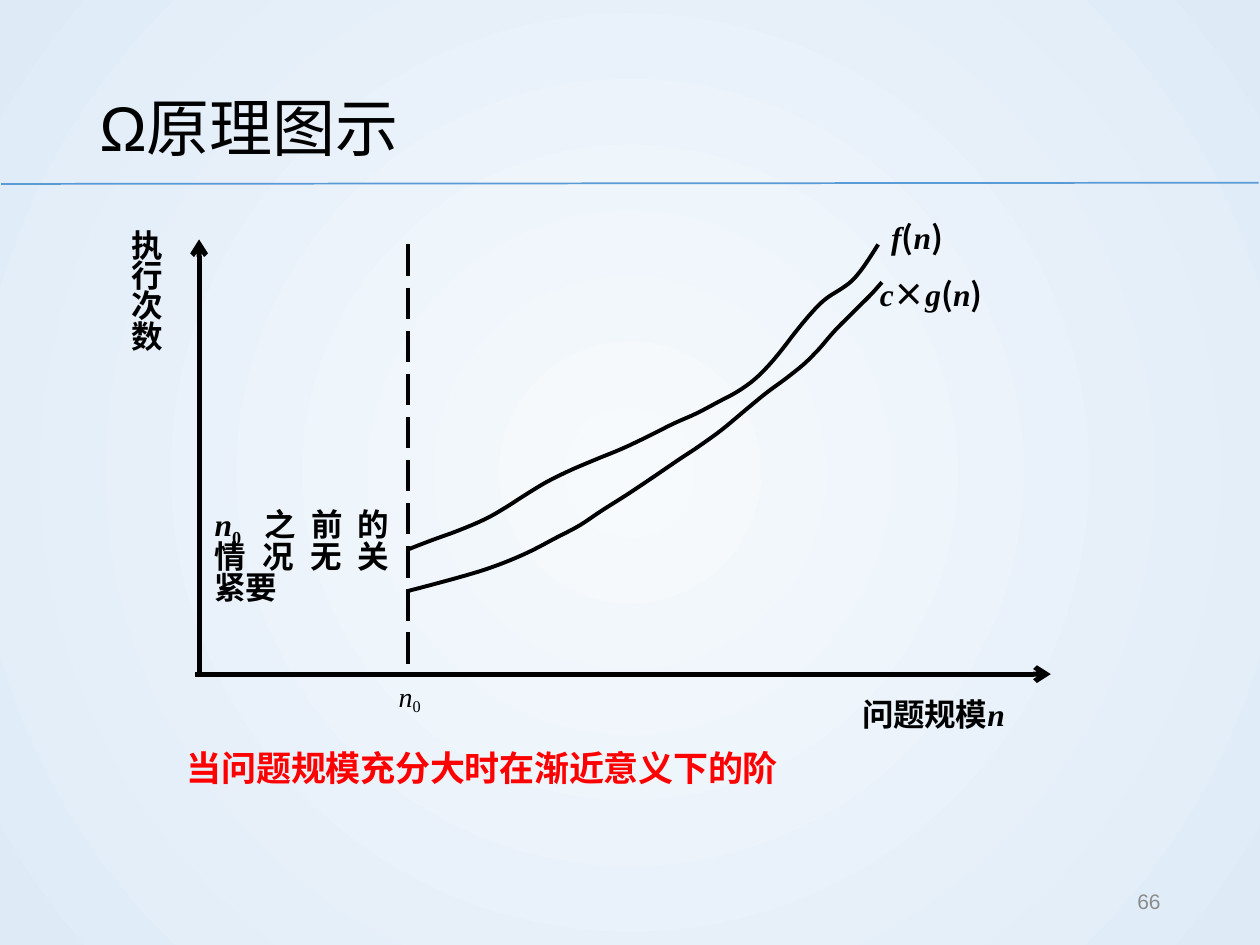
"""Builds the slide that explains Omega notation with a growth-rate diagram."""
from lxml.etree import SubElement
from pptx import Presentation
from pptx.dml.color import RGBColor
from pptx.enum.dml import MSO_LINE_DASH_STYLE as DASH
from pptx.enum.shapes import MSO_CONNECTOR as CONNECTOR
from pptx.enum.text import MSO_ANCHOR as ANCHOR, PP_ALIGN as ALIGN
from pptx.oxml import parse_xml
from pptx.oxml.ns import nsdecls, qn
from pptx.util import Emu, Pt

SCALE = 9144
COLOURS = {"ink": "000000", "accent": "FF0000", "rule": "5B9BD5",
           "number": "8C8C8C", "centre": "F7FAFD", "edge": "DEEBF7"}
SANS, HAN, SERIF = "Arial", "Noto Sans CJK SC", "Times New Roman"

TITLE = "Ω原理图示"
TITLE_AREA = (69, 40, 862, 108)

VAR_N = ("n", SERIF, True, -0.1, 0)
OPEN, CLOSE = (("(", HAN, False, -0.1, 0), (")", HAN, False, -0.1, 0))
LABELS = [
    {"area": (147, 593, 562, 33), "size": 20, "colour": "accent", "spacing": Pt(23.8),
     "runs": [("当问题规模充分大时在渐近意义下的阶", HAN, False, -0.2, 0)]},
    {"area": (315, 539, 26, 27), "size": 16, "bold": False,
     "runs": [("n", SERIF, True, 0, 0), ("0", SERIF, False, -0.1, -20)]},
    {"area": (683, 552, 138, 30),
     "runs": [("问题规模", HAN, False, -0.2, 0), ("n", SERIF, True, 0, 0)]},
    {"area": (103, 185, 33, 97), "align": ALIGN.JUSTIFY, "spacing": 0.8,
     "runs": [("执 行 次 数", HAN, False, -0.1, 0)]},
    {"area": (169, 404, 141, 74), "align": ALIGN.JUSTIFY, "spacing": 0.82,
     "runs": [("n", SERIF, True, 0, 0), ("0 ", SERIF, False, 0, -23),
              ("之前", HAN, False, 3.1, 0), ("的 ", HAN, False, -0.2, 0),
              ("情况无", HAN, False, 2.5, 0), ("关 紧要", HAN, False, -0.2, 0)]},
    {"area": (706, 173, 67, 30),
     "runs": [("f", SERIF, True, -0.1, 0), OPEN, VAR_N, CLOSE]},
    {"area": (697, 218, 102, 30),
     "runs": [("c", SERIF, True, -0.1, 0), ("×", HAN, False, -0.1, 0),
              ("g", SERIF, True, -0.1, 0), OPEN, VAR_N, CLOSE]},
    {"area": (706, 695, 225, 40), "size": 12, "colour": "number", "bold": False,
     "align": ALIGN.RIGHT, "anchor": ANCHOR.MIDDLE, "inset": (10, 5), "indent": 0,
     "runs": [("66", SANS, False, 0, 0)]},
]

LINES = [
    ((1, 146), (999, 145), "rule", 1, None, False),
    ((155, 535), (834, 535), "ink", 2.9, None, True),
    ((158, 535), (158, 190), "ink", 2.9, None, True),
    ((324, 194), (324, 535), "ink", 2.25, DASH.LONG_DASH, False),
]

UPPER_CURVE = [
    (324, 436), (342, 429), (364, 421), (385, 412), (401, 403), (415, 394),
    (433, 383), (451, 374), (472, 365), (494, 356), (515, 346), (535, 336),
    (553, 328), (570, 319), (585, 311), (599, 301), (611, 289), (621, 277),
    (631, 264), (640, 253), (649, 243), (657, 236), (668, 229), (676, 223),
    (683, 215), (690, 205), (697, 194)]
LOWER_CURVE = [
    (324, 469), (343, 464), (365, 458), (385, 452), (404, 445), (422, 437),
    (441, 427), (460, 417), (478, 405), (497, 393), (515, 381), (537, 366),
    (555, 354), (573, 341), (591, 326), (608, 312), (623, 301), (638, 289),
    (650, 277), (663, 262), (681, 244), (692, 233), (700, 224)]


def px(*lengths):
    return [Emu(round(length * SCALE)) for length in lengths]


def rgb(name):
    return RGBColor.from_string(COLOURS[name])


def set_face(font, latin, asian):
    font.name = latin
    SubElement(font._rPr, qn("a:ea")).set("typeface", asian)


def style_line(shape, colour, width):
    shape.line.color.rgb = rgb(colour)
    shape.line.width = Pt(width)


def paint_background(page):
    fill = page.background.fill
    fill.gradient()
    for stop, name in zip(fill.gradient_stops, ("centre", "edge")):
        stop.color.rgb = rgb(name)
    linear = next(page.background._cSld.iter(qn("a:lin")))
    linear.getparent().replace(linear, parse_xml(
        f'<a:path {nsdecls("a")} path="circle">'
        '<a:fillToRect l="50000" t="50000" r="50000" b="50000"/></a:path>'))


def add_title(page):
    title = page.shapes.title
    title.left, title.top, title.width, title.height = px(*TITLE_AREA)
    title.text_frame.text = TITLE
    title.text_frame.vertical_anchor = ANCHOR.MIDDLE
    para = title.text_frame.paragraphs[0]
    para.alignment, para.line_spacing = ALIGN.LEFT, 1.2
    para.font.size = Pt(36)
    para.font.color.rgb = rgb("ink")
    set_face(para.font, SANS, HAN)


def add_label(page, label):
    frame = page.shapes.add_textbox(*px(*label["area"])).text_frame
    frame.word_wrap = True
    frame.vertical_anchor = label.get("anchor", ANCHOR.TOP)
    side, end = px(*label.get("inset", (0, 0)))
    frame.margin_left = frame.margin_right = side
    frame.margin_top = frame.margin_bottom = end
    para = frame.paragraphs[0]
    for margin in ("marL", "marR"):
        para._p.get_or_add_pPr().set(margin, str(Pt(label.get("indent", 1))))
    para.alignment = label.get("align", ALIGN.LEFT)
    para.line_spacing = label.get("spacing")
    para.font.size = Pt(label.get("size", 18))
    para.font.bold = label.get("bold", True)
    para.font.color.rgb = rgb(label.get("colour", "ink"))
    for text, face, italic, tracking, baseline in label["runs"]:
        span = para.add_run()
        span.text = text
        span.font.italic = italic
        set_face(span.font, face, face)
        span.font._rPr.set("spc", str(round(tracking * 100)))
        if baseline:
            span.font._rPr.set("baseline", str(baseline * 1000))


def add_line(page, start, end, colour, width, dash, arrow):
    line = page.shapes.add_connector(CONNECTOR.STRAIGHT, *px(*start, *end))
    style_line(line, colour, width)
    if dash:
        line.line.dash_style = dash
    if arrow:
        tail = SubElement(line.line._get_or_add_ln(), qn("a:tailEnd"))
        for key, value in (("type", "arrow"), ("w", "med"), ("len", "med")):
            tail.set(key, value)
    SubElement(line._element.spPr, qn("a:effectLst"))


def smooth(points, steps=4):
    """Return a Catmull-Rom spline sampled between the points."""
    padded = [points[0], *points, points[-1]]
    result = [points[0]]
    for a, b, c, d in zip(padded, padded[1:], padded[2:], padded[3:]):
        for step in range(1, steps + 1):
            t = step / steps
            result.append(tuple(
                (2 * q + (r - p) * t + (2 * p - 5 * q + 4 * r - s) * t ** 2
                 + (3 * q - p - 3 * r + s) * t ** 3) / 2
                for p, q, r, s in zip(a, b, c, d)))
    return result


def add_curve(page, points):
    start, *rest = [px(*point) for point in smooth(points)]
    builder = page.shapes.build_freeform(*start)
    builder.add_line_segments(rest, close=False)
    curve = builder.convert_to_shape()
    curve.shadow.inherit = False
    curve.fill.background()
    style_line(curve, "ink", 2.25)


def main():
    deck = Presentation()
    deck.slide_width, deck.slide_height = px(1000, 750)
    page = deck.slides.add_slide(deck.slide_layouts[5])
    paint_background(page)
    add_title(page)
    for line in LINES:
        add_line(page, *line)
    for points in (UPPER_CURVE, LOWER_CURVE):
        add_curve(page, points)
    for label in LABELS:
        add_label(page, label)
    deck.save("out.pptx")


if __name__ == "__main__":
    main()
